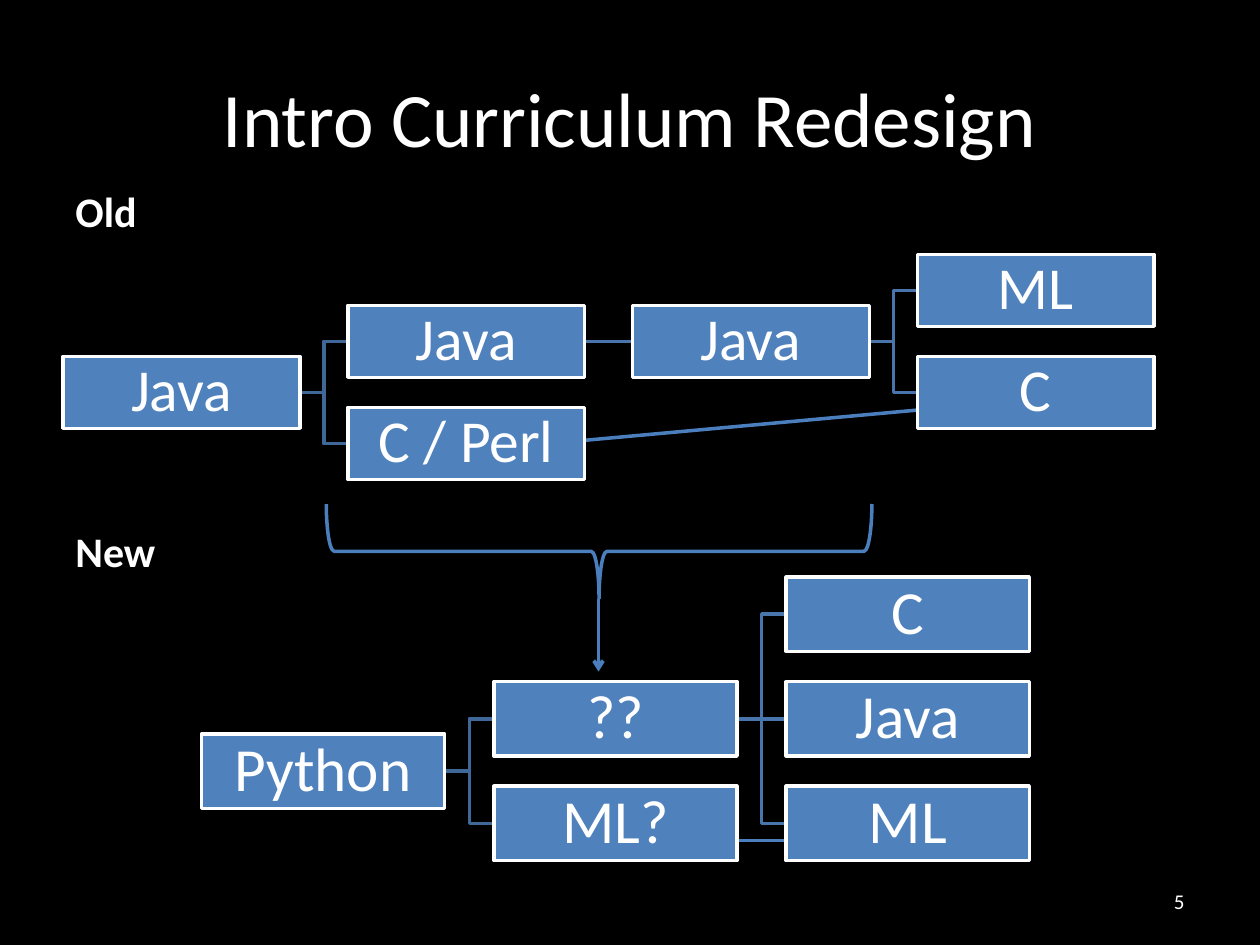
from lxml.etree import SubElement as Sub
from pptx import Presentation
from pptx.dml.color import RGBColor
from pptx.enum.shapes import MSO_CONNECTOR as Link, MSO_SHAPE as Kind
from pptx.enum.text import MSO_ANCHOR as Anchor, PP_ALIGN as Align
from pptx.oxml.ns import qn
from pptx.util import Inches, Pt

WHITE, BLUE, EDGE = "FFFFFF", "4F81BD", "4B7EBC"
NEAR, FAR = "3F6797", "4875AC"


def paint(part, hue):
    """Give a fill or a line's fill a solid colour."""
    part.solid()
    part.fore_color.rgb = RGBColor.from_string(hue)


def stroke(shape, hue):
    """Set a two-point outline."""
    paint(shape.line.fill, hue)
    shape.line.width = Pt(2)


def write(shape, text, size, align=Align.LEFT, anchor=Anchor.MIDDLE, bold=False):
    """Put one run of white text into a shape."""
    frame = shape.text_frame
    frame.word_wrap = True
    frame.vertical_anchor = anchor
    para = frame.paragraphs[0]
    para.alignment = align
    run = para.add_run()
    run.text = text
    font = run.font
    font.name, font.size, font.bold = "Calibri", Pt(size), bold
    paint(font.fill, WHITE)
    return frame


def label(slide, at, text, size, **style):
    """Add a text box."""
    write(slide.shapes.add_textbox(*map(Inches, at)), text, size, **style)


def wire(slide, start, end, arrow=False):
    """Add a straight line, with an arrowhead if asked."""
    line = slide.shapes.add_connector(Link.STRAIGHT, *map(Inches, start + end))
    stroke(line, EDGE)
    if arrow:
        Sub(line.line._get_or_add_ln(), qn("a:tailEnd"), type="arrow")
    Sub(line._element.spPr, qn("a:effectLst"))


def elbow(slide, start, end, hue):
    """Add a stepped branch between two points."""
    (x1, y1), (x2, y2) = start, end
    mid = (x1 + x2) / 2
    dots = [(mid, y1), (mid, y2), end] if y1 != y2 else [end]
    path = slide.shapes.build_freeform(Inches(x1), Inches(y1))
    path.add_line_segments([(Inches(x), Inches(y)) for x, y in dots], close=False)
    shape = path.convert_to_shape()
    shape.shadow.inherit = False
    shape.fill.background()
    stroke(shape, hue)


def box(slide, at, text, size):
    """Add a blue course box."""
    shape = slide.shapes.add_shape(Kind.RECTANGLE, *map(Inches, at))
    shape.shadow.inherit = False
    paint(shape.fill, BLUE)
    stroke(shape, WHITE)
    frame = write(shape, text, size, Align.CENTER)
    frame.paragraphs[0].line_spacing = 0.9
    frame.margin_left = frame.margin_right = Inches(0.02)
    frame.margin_top = frame.margin_bottom = Inches(0.02)


def tree(slide, left, top, step, dims, size, nodes, links):
    """Draw a course tree from (text, column, half-row) nodes."""
    wide, high = dims
    spots = [(left + col * step[0], top + row * step[1]) for _, col, row in nodes]
    for a, b in links:
        (x1, y1), (x2, y2) = spots[a], spots[b]
        hue = FAR if nodes[a][1] else NEAR
        elbow(slide, (x1 + wide, y1 + high / 2), (x2, y2 + high / 2), hue)
    for (text, _, _), spot in zip(nodes, spots):
        box(slide, spot + dims, text, size)


def brace(slide, at):
    """Add a brace that points down."""
    shape = slide.shapes.add_shape(Kind.LEFT_BRACE, *map(Inches, at))
    shape.rotation = 270
    shape.shadow.inherit = False
    shape.fill.background()
    stroke(shape, EDGE)


def main():
    """Build and save the slide."""
    deck = Presentation()
    deck.slide_width, deck.slide_height = Inches(10), Inches(7.5)
    slide = deck.slides.add_slide(deck.slide_layouts[6])
    paint(slide.background.fill, "000000")

    wire(slide, (5.75, 6.67), (6.42, 6.67))
    wire(slide, (4.58, 3.5), (7.33, 3.25))
    new = [("Python", 0, 3), ("??", 1, 2), ("ML?", 1, 4),
           ("C", 2, 0), ("Java", 2, 2), ("ML", 2, 4)]
    tree(slide, 1.6, 4.58, (2.32, 0.415), (1.93, 0.59), 35, new,
         [(0, 1), (0, 2), (1, 3), (1, 4), (1, 5)])
    old = [("Java", 0, 2), ("Java", 1, 1), ("C / Perl", 1, 3),
           ("Java", 2, 1), ("ML", 3, 0), ("C", 3, 2)]
    tree(slide, 0.5, 2.02, (2.26, 0.405), (1.88, 0.57), 34, old,
         [(0, 1), (0, 2), (1, 3), (3, 4), (3, 5)])

    label(slide, (0.5, 0.3, 9, 1.25), "Intro Curriculum Redesign", 44,
          align=Align.CENTER)
    for text, top in (("Old", 1.22), ("New", 3.92)):
        label(slide, (0.5, top, 4.42, 0.7), text, 24,
              anchor=Anchor.BOTTOM, bold=True)
    label(slide, (7.17, 6.95, 2.33, 0.4), "5", 12, align=Align.RIGHT)
    brace(slide, (4.38, 2.21, 0.75, 4.33))
    wire(slide, (4.75, 4.75), (4.75, 5.33), arrow=True)
    deck.save("out.pptx")


main()
